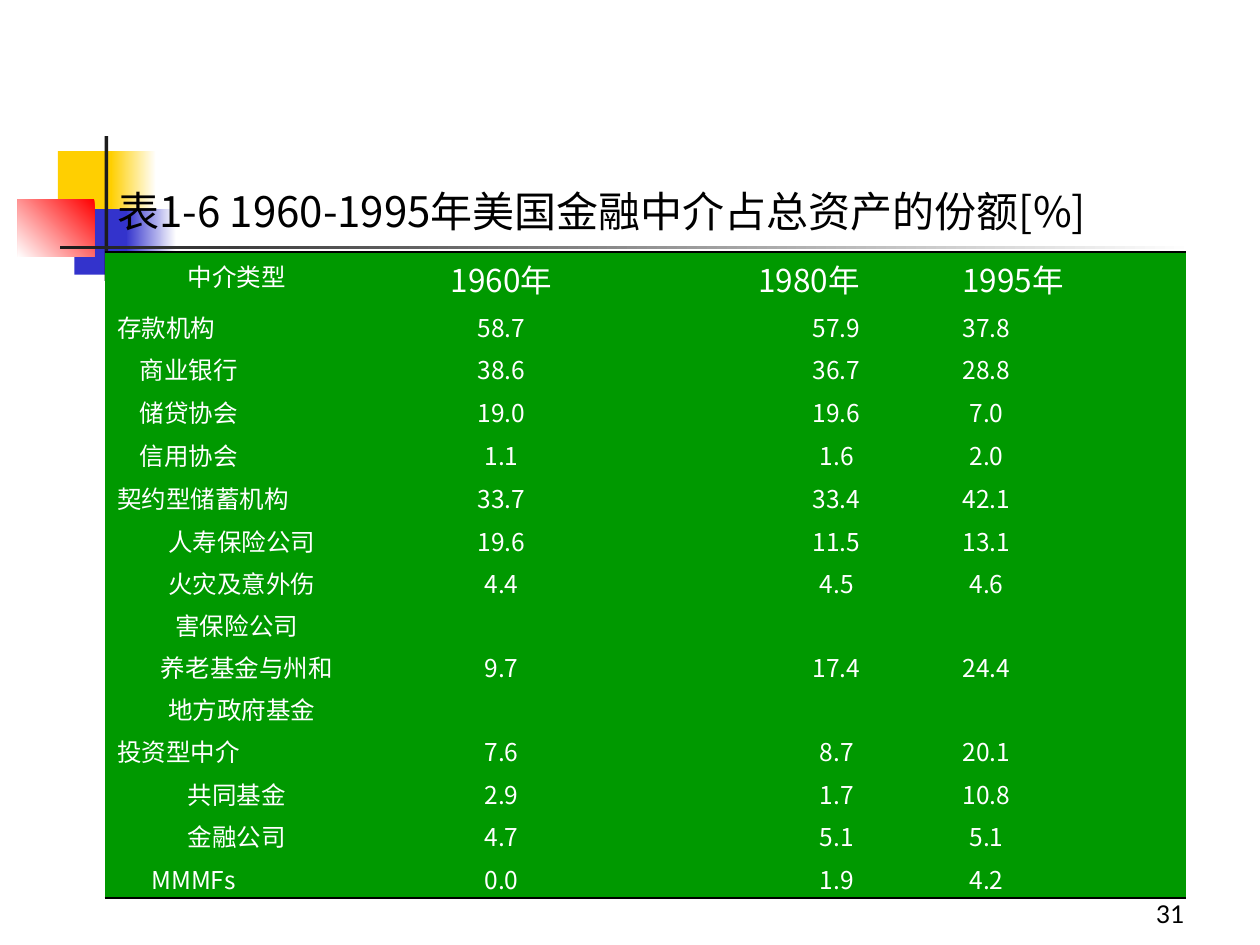
from typing import NamedTuple, Optional

from lxml.etree import SubElement
from pptx import Presentation
from pptx.dml.color import RGBColor
from pptx.enum.shapes import MSO_SHAPE
from pptx.enum.text import MSO_ANCHOR, MSO_AUTO_SIZE, PP_ALIGN
from pptx.oxml.ns import qn
from pptx.util import Inches, Pt

WHITE = RGBColor(0xFF, 0xFF, 0xFF)
BLACK = RGBColor(0, 0, 0)
YELLOW = RGBColor(0xFF, 0xCF, 0x01)
BLUE = RGBColor(0x33, 0x33, 0xCC)
RED = RGBColor(0xFF, 0, 0)
DARK = RGBColor(0x1C, 0x1C, 0x1C)
GREEN = RGBColor(0, 0x99, 0)

CJK = "Noto Sans CJK SC"
PLAIN_STYLE = "{2D5ABB26-0587-4C30-8999-92F81FD0307C}"
LEFT, CENTER, RIGHT = PP_ALIGN.LEFT, PP_ALIGN.CENTER, PP_ALIGN.RIGHT


class Block(NamedTuple):
    box: tuple
    color: RGBColor
    end: Optional[RGBColor] = None
    angle: float = 0


class Line(NamedTuple):
    text: str
    align: PP_ALIGN = LEFT
    indent: float = 0


class Row(NamedTuple):
    lines: list
    y1960: str
    y1980: str
    y1995: str
    height: float = 0.34


BLOCKS = [
    Block((0.46, 1.2, 0.48, 0.52), YELLOW),
    Block((0.88, 1.2, 0.36, 0.52), WHITE, YELLOW, 180),
    Block((0.59, 1.66, 0.46, 0.52), BLUE),
    Block((1, 1.66, 0.4, 0.52), WHITE, BLUE, 180),
    Block((0.14, 1.58, 0.61, 0.46), RED, WHITE, 225),
    Block((0.83, 1.08, 0.03, 1.15), DARK),
    Block((0.48, 1.95, 9, 0.03), WHITE, DARK, 180),
]

ROWS = [
    Row([Line("中介类型", CENTER)], "1960年", "1980年", "1995年", 0.4),
    Row([Line("存款机构")], "58.7", "57.9", "37.8"),
    Row([Line("商业银行", LEFT, 0.18)], "38.6", "36.7", "28.8"),
    Row([Line("储贷协会", LEFT, 0.18)], "19.0", "19.6", "7.0"),
    Row([Line("信用协会", LEFT, 0.18)], "1.1", "1.6", "2.0"),
    Row([Line("契约型储蓄机构")], "33.7", "33.4", "42.1"),
    Row([Line("人寿保险公司", CENTER, 0.08)], "19.6", "11.5", "13.1"),
    Row([Line("火灾及意外伤", CENTER, 0.08), Line("害保险公司", CENTER)],
        "4.4", "4.5", "4.6", 0.62),
    Row([Line("养老基金与州和", CENTER, 0.16), Line("地方政府基金", CENTER, 0.08)],
        "9.7", "17.4", "24.4", 0.62),
    Row([Line("投资型中介")], "7.6", "8.7", "20.1"),
    Row([Line("共同基金", CENTER)], "2.9", "1.7", "10.8"),
    Row([Line("金融公司", CENTER)], "4.7", "5.1", "5.1"),
    Row([Line("MMMFs", LEFT, 0.27)], "0.0", "1.9", "4.2"),
]
COL_WIDTHS = (2.1, 2.1, 4.38)
HEADER_TABS = (1.29, 2.91)
VALUE_TABS = (1.51, 2.7)


def add_text(p, text: str, size: float, color: RGBColor, font: str = CJK) -> None:
    r = p.add_run()
    r.text = text
    for name, value in {"size": Pt(size), "name": font, "bold": False}.items():
        setattr(r.font, name, value)
    r.font.color.rgb = color
    SubElement(r.font._element, qn("a:ea"), typeface=font)


def add_block(slide, block: Block) -> None:
    s = slide.shapes.add_shape(MSO_SHAPE.RECTANGLE, *map(Inches, block.box))
    s.shadow.inherit = False
    s.line.fill.background()
    if block.end is None:
        s.fill.solid()
        s.fill.fore_color.rgb = block.color
        return
    s.fill.gradient()
    s.fill.gradient_angle = block.angle
    for stop, color in zip(s.fill.gradient_stops, (block.color, block.end)):
        stop.color.rgb = color


def add_tabs(p, stops: tuple) -> None:
    tabs = SubElement(p._p.get_or_add_pPr(), qn("a:tabLst"))
    for stop in stops:
        SubElement(tabs, qn("a:tab"), pos=str(Inches(stop)), algn="ctr")


def add_border(cell, side: str) -> None:
    """Rule one edge; the fill is set afterwards so that it follows the line."""
    ln = SubElement(cell._tc.get_or_add_tcPr(), qn(f"a:{side}"), w=str(Pt(1.08)))
    fill = SubElement(ln, qn("a:solidFill"))
    SubElement(fill, qn("a:srgbClr"), val=str(BLACK))


def fill_cell(cell, lines: list, size: float, top: float, tabs: tuple = ()) -> None:
    cell.fill.solid()
    cell.fill.fore_color.rgb = GREEN
    margins = {"margin_left": Inches(0.1), "margin_right": Inches(0.1),
               "margin_top": Pt(top), "margin_bottom": 0}
    for name, value in margins.items():
        setattr(cell, name, value)
    tf = cell.text_frame
    for i, line in enumerate(lines):
        p = tf.add_paragraph() if i else tf.paragraphs[0]
        if tabs:
            add_tabs(p, tabs)
        if i:
            p.space_before = Pt(3.5)
        p.alignment = line.align
        if line.indent:
            p._p.get_or_add_pPr().set("marL", str(Inches(line.indent)))
        add_text(p, line.text, size, WHITE)


def add_share_table(slide) -> None:
    frame = slide.shapes.add_table(
        len(ROWS), len(COL_WIDTHS), Inches(0.83), Inches(2),
        Inches(sum(COL_WIDTHS)), Inches(sum(row.height for row in ROWS)))
    table = frame.table
    table.first_row = table.horz_banding = False
    table._tbl.tblPr.find(qn("a:tableStyleId")).text = PLAIN_STYLE
    for col, width in zip(table.columns, COL_WIDTHS):
        col.width = Inches(width)

    for i, row in enumerate(ROWS):
        table.rows[i].height = Inches(row.height)
        cells = list(table.rows[i].cells)
        for cell in cells:
            if i == 0:
                add_border(cell, "lnT")
            if i == len(ROWS) - 1:
                add_border(cell, "lnB")
        size, top, tabs = (18, 2.5, HEADER_TABS) if i == 0 else (14, 3.5, VALUE_TABS)
        fill_cell(cells[0], row.lines, 14, 3.5)
        fill_cell(cells[1], [Line(row.y1960, CENTER)], size, top)
        # The last column holds two years, set on centred tab stops
        fill_cell(cells[2], [Line(f"\t{row.y1980}\t{row.y1995}")], size, top, tabs)


def place_title(slide) -> None:
    s = slide.shapes.title
    slide.shapes._spTree.append(s._element)  # in front of the blocks
    s.left, s.top, s.width, s.height = map(Inches, (0.83, 1.42, 8.67, 0.5))
    tf = s.text_frame
    settings = {"margin_top": 0, "margin_bottom": 0, "word_wrap": True,
                "auto_size": MSO_AUTO_SIZE.NONE, "vertical_anchor": MSO_ANCHOR.MIDDLE}
    for name, value in settings.items():
        setattr(tf, name, value)
    p = tf.paragraphs[0]
    p.alignment = LEFT
    add_text(p, "表1-6 1960-1995年美国金融中介占总资产的份额[%]", 24, BLACK)


def add_page_number(slide) -> None:
    box = slide.shapes.add_textbox(*map(Inches, (7.42, 6.92, 2.08, 0.5)))
    tf = box.text_frame
    tf.word_wrap = True
    tf.vertical_anchor = MSO_ANCHOR.BOTTOM
    p = tf.paragraphs[0]
    p.alignment = RIGHT
    add_text(p, "31", 14, BLACK, "Lato")


def main() -> None:
    prs = Presentation()
    prs.slide_width, prs.slide_height = Inches(10), Inches(7.5)
    slide = prs.slides.add_slide(prs.slide_layouts[5])
    for block in BLOCKS:
        add_block(slide, block)
    place_title(slide)
    add_share_table(slide)
    add_page_number(slide)
    prs.save("out.pptx")


if __name__ == "__main__":
    main()
